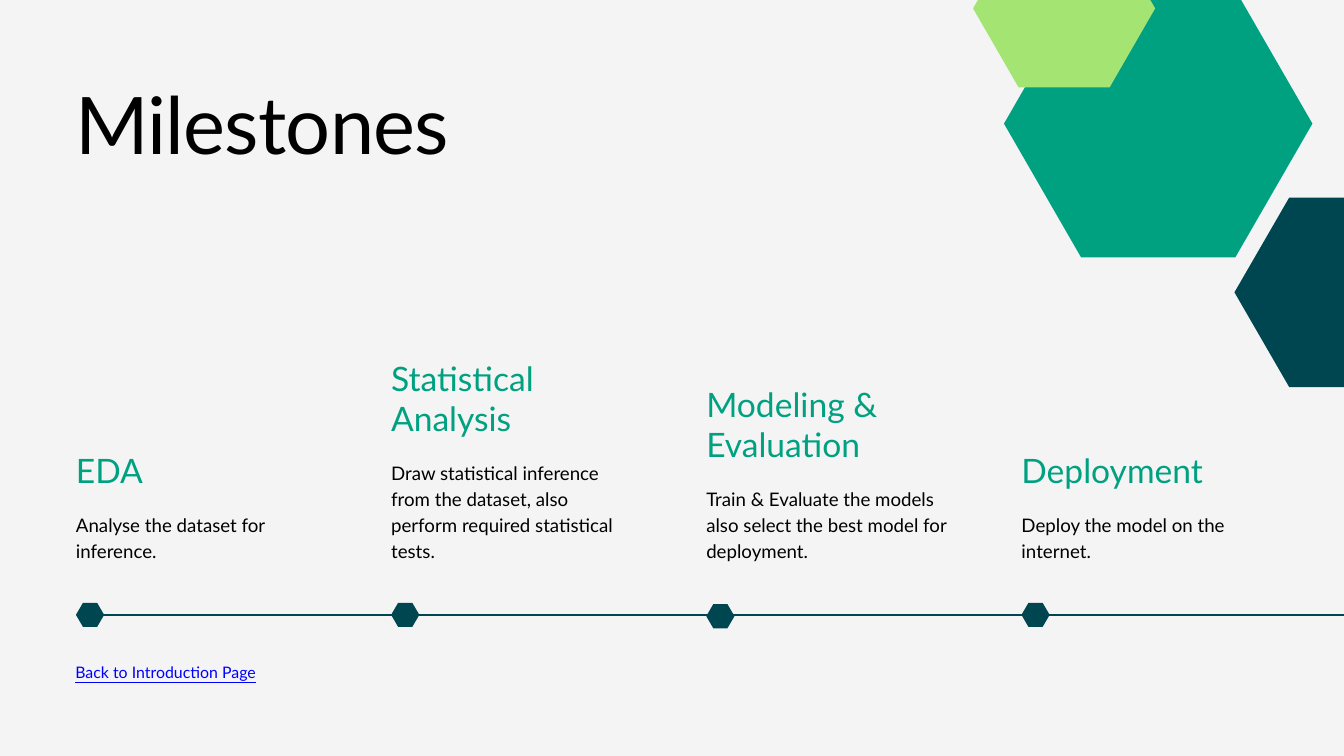
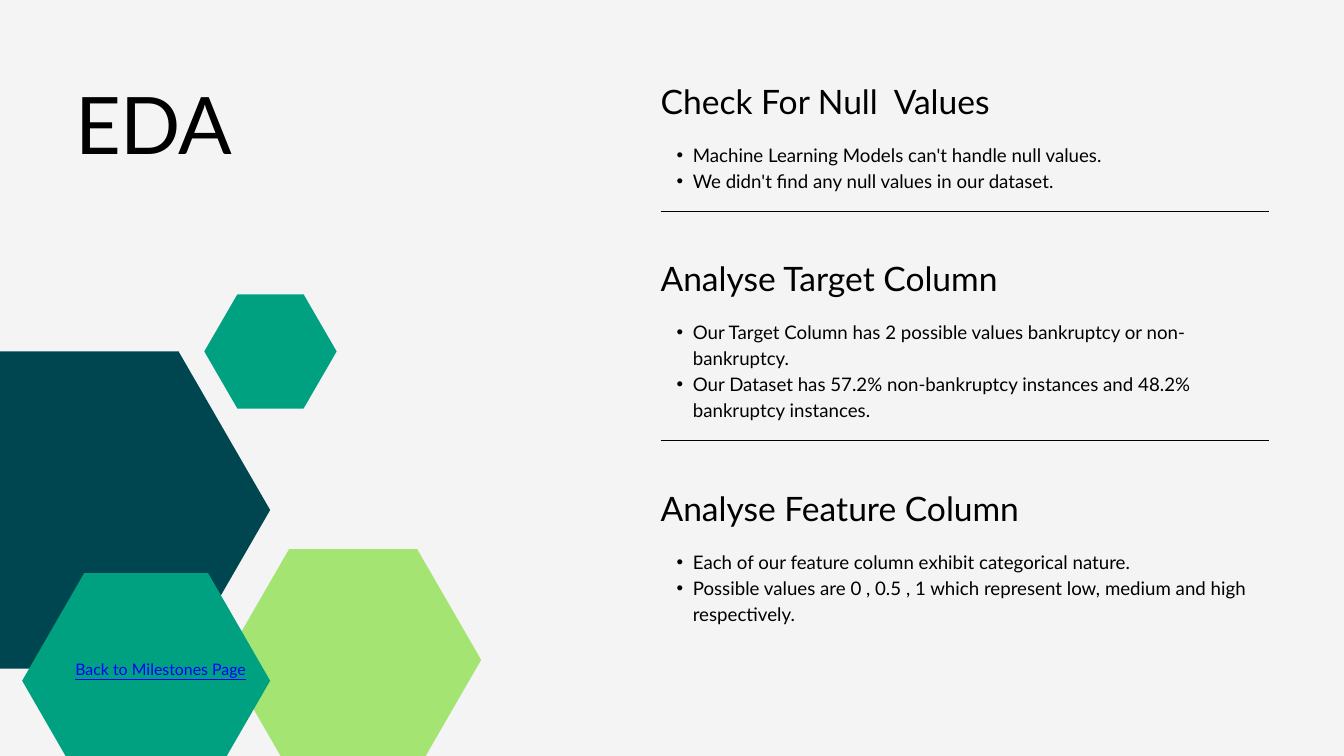
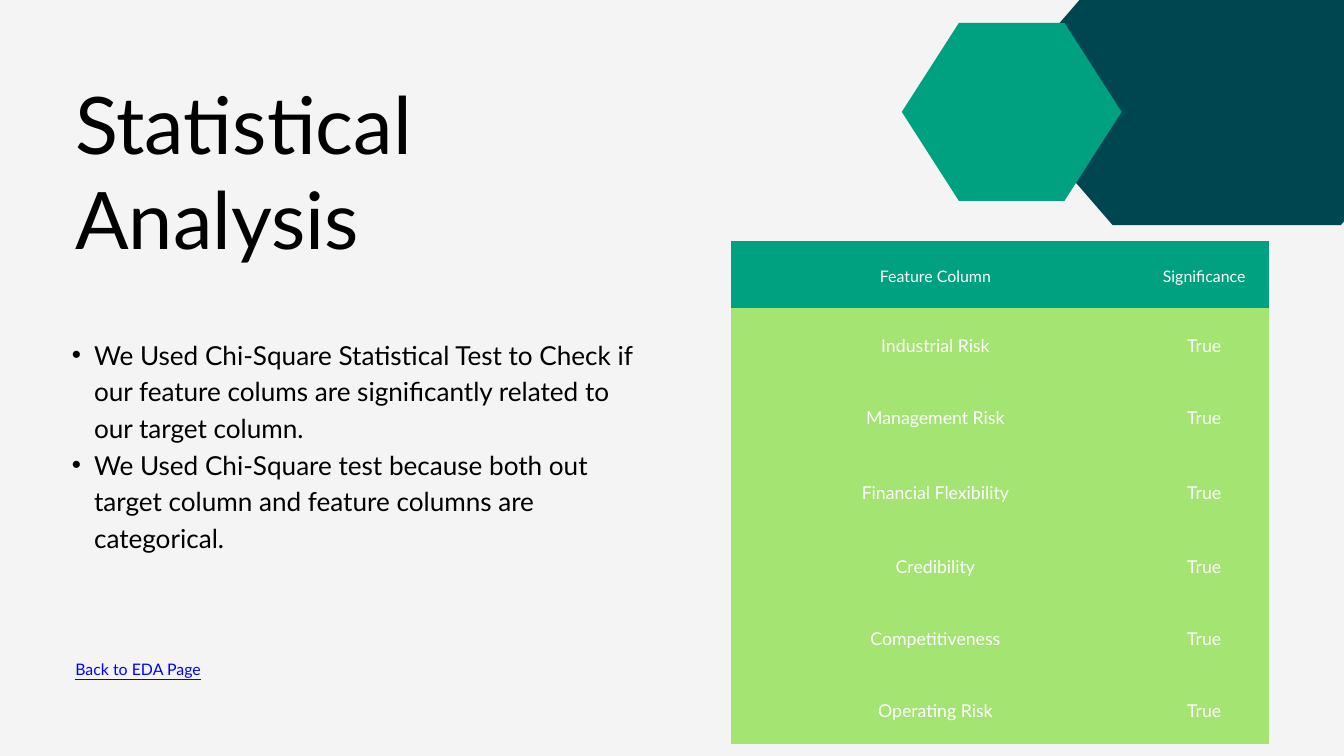
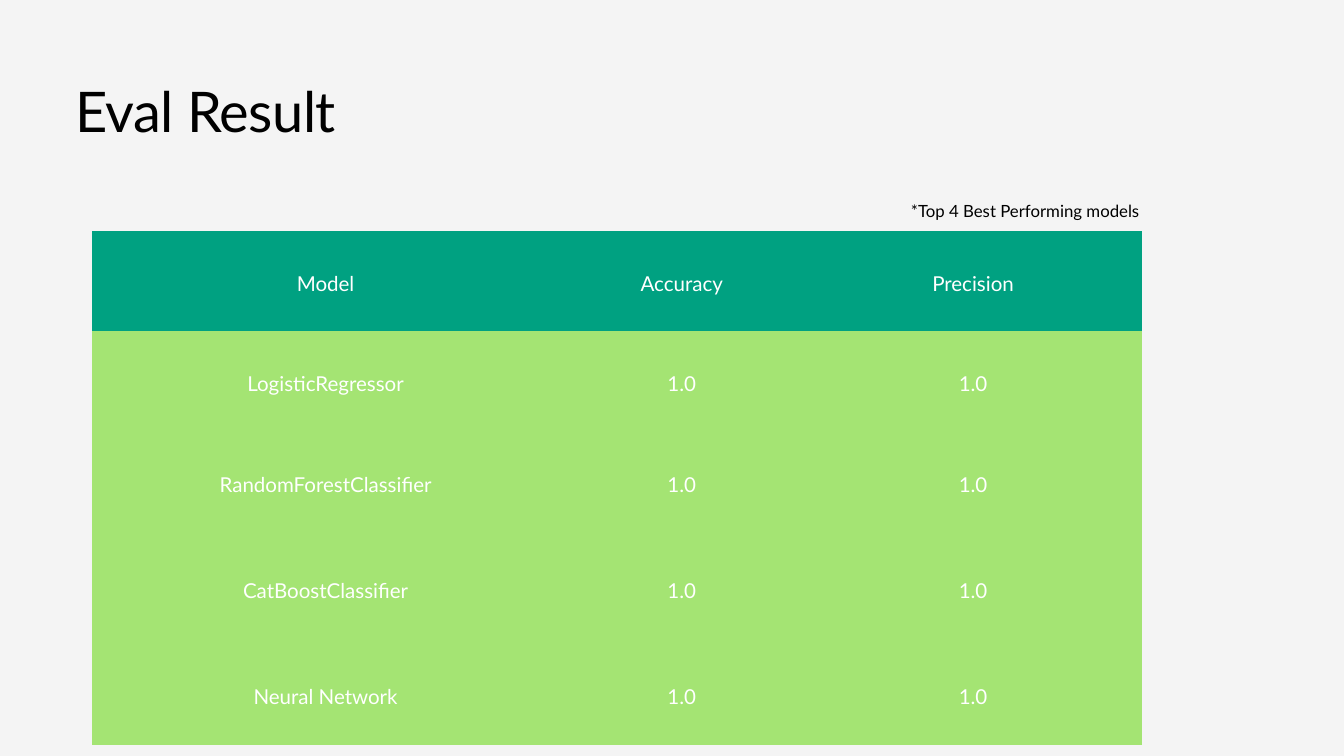
from itertools import accumulate

from lxml import etree
from pptx import Presentation
from pptx import util as u
from pptx.dml.color import RGBColor
from pptx.enum import shapes, text
from pptx.oxml import ns

COLORS = {
    "paper": "F4F4F4",
    "ink": "000000",
    "white": "FFFFFF",
    "link": "0000FF",
    "navy": "004651",
    "teal": "00A181",
    "lime": "A4E473",
}
FONT = "Lato"
MARGIN = 1.12
HEAD_LINE = 0.6
BODY_LINE = 0.39


def color(name):
    return RGBColor.from_string(COLORS[name])


def add_xml(parent, tag, index=None, **attributes):
    child = etree.Element(ns.qn(tag), attributes)
    parent.insert(len(parent) if index is None else index, child)
    return child


def write_text(frame, content, size=20, ink="ink", leading=1.4, align=None,
               spacing=0, underline=False, bullet=None):
    """Fill a text frame; content is a string or a list of paragraphs.

    bullet is the hanging width in inches; the text starts at twice that.
    """
    lines = [content] if isinstance(content, str) else content
    for number, line in enumerate(lines):
        para = frame.add_paragraph() if number else frame.paragraphs[0]
        para.line_spacing = u.Pt(round(size * leading, 1))
        para.alignment = align
        if bullet:
            props = para._p.get_or_add_pPr()
            props.set("marL", str(u.Inches(2 * bullet)))
            props.set("indent", str(-u.Inches(bullet)))
            add_xml(props, "a:buFont", typeface="Arial")
            add_xml(props, "a:buChar", char="•")
        span = para.add_run()
        span.text = line
        span.font.name = FONT
        span.font.size = u.Pt(size)
        span.font.color.rgb = color(ink)
        if underline:
            span.font.underline = True
        if spacing:
            span._r.get_or_add_rPr().set("spc", str(round(spacing * 100)))


def add_text(page, box, content, **style):
    frame = page.shapes.add_textbox(*map(u.Inches, box)).text_frame
    frame.margin_left = frame.margin_right = 0
    frame.margin_top = frame.margin_bottom = 0
    frame.word_wrap = True
    frame.auto_size = text.MSO_AUTO_SIZE.SHAPE_TO_FIT_TEXT
    write_text(frame, content, **style)


def add_title(page, content, width, spacing=-0.8, lines=1):
    add_text(page, (MARGIN, 1.12, width, 1.41 * lines), content,
             size=85, leading=1.2, spacing=spacing)


def add_heading(page, box, content, ink="ink"):
    add_text(page, box, content, size=36, leading=1.2, ink=ink)


def add_back_label(page, content, top=9.77):
    add_text(page, (MARGIN, top, 5.72, 0.32), content,
             size=17, ink="link", underline=True)


def add_hexagon(page, box, fill, corner=0.25):
    """Flat-topped hexagon; corner is the slanted share of its width."""
    left, top, width, height = box
    near, far = left + width * corner, left + width * (1 - corner)
    middle, bottom = top + height / 2, top + height
    points = [(far, bottom), (near, bottom), (left, middle), (near, top), (far, top)]
    builder = page.shapes.build_freeform(
        u.Inches(left + width), u.Inches(middle), scale=1.0)
    builder.add_line_segments([(u.Inches(x), u.Inches(y)) for x, y in points])
    shape = builder.convert_to_shape()
    shape.shadow.inherit = False
    shape.fill.solid()
    shape.fill.fore_color.rgb = color(fill)
    shape.line.fill.background()


def add_rule(page, left, right, top, ink, weight):
    rule = page.shapes.add_connector(
        shapes.MSO_CONNECTOR.STRAIGHT, *map(u.Inches, (left, top, right, top)))
    rule.line.color.rgb = color(ink)
    rule.line.width = u.Pt(weight)
    add_xml(rule._element.spPr, "a:effectLst")


def add_result_table(page, origin, widths, heights, rows, head_size, body_size):
    box = (*origin, sum(widths), sum(heights))
    table = page.shapes.add_table(len(rows), len(widths), *map(u.Inches, box)).table
    for column, width in zip(table.columns, widths):
        column.width = u.Inches(width)
    for number, (row, height, values) in enumerate(zip(table.rows, heights, rows)):
        row.height = u.Inches(height)
        for cell, value in zip(row.cells, values):
            cell.margin_left = cell.margin_right = u.Inches(0.21)
            cell.margin_top = cell.margin_bottom = u.Inches(0.21)
            cell.vertical_anchor = text.MSO_ANCHOR.MIDDLE
            cell.fill.solid()
            cell.fill.fore_color.rgb = color("lime" if number else "teal")
            props = cell._tc.get_or_add_tcPr()
            for index, side in enumerate("LRTB"):
                border = add_xml(props, f"a:ln{side}", index, w="0")
                add_xml(border, "a:noFill")
            write_text(cell.text_frame, value, ink="white",
                       size=body_size if number else head_size,
                       align=text.PP_ALIGN.CENTER)


def add_milestone(page, left, bottom, heading, heading_lines, body, body_lines):
    """Stack a heading on its description so that both end at bottom."""
    body_height = BODY_LINE * body_lines - 0.03
    body_top = bottom - body_height
    heading_height = HEAD_LINE * heading_lines
    add_heading(page, (left, body_top - 0.29 - heading_height, 3.68, heading_height),
                heading, ink="teal")
    add_text(page, (left, body_top, 3.68, body_height), body)


def add_finding(page, left, top, width, heading, points, lines):
    """Place a heading with bulleted points and return where they end."""
    height = BODY_LINE * lines - 0.03
    add_heading(page, (left, top, width, HEAD_LINE), heading)
    add_text(page, (left, top + 0.88, width, height), points, bullet=0.24)
    return top + 0.88 + height


def build_milestones(page):
    milestones = [
        ("EDA", 1, "Analyse the dataset for inference.", 2),
        ("Statistical Analysis", 2,
         "Draw statistical inference from the dataset, also perform required "
         "statistical tests.", 4),
        ("Modeling & Evaluation", 2,
         "Train & Evaluate the models also select the best model for deployment.", 3),
        ("Deployment", 1, "Deploy the model on the internet.", 2),
    ]
    axis = 9.15
    add_rule(page, 1.39, 20, axis, "navy", 1.5)
    for number, milestone in enumerate(milestones):
        left = 1.13 + 4.69 * number
        add_milestone(page, left, 8.34, *milestone)
        drop = 0.02 if number == 2 else 0
        add_hexagon(page, (left, axis - 0.18 + drop, 0.42, 0.36), "navy")
    add_title(page, "Milestones", 6.23)
    add_back_label(page, "Back to Introduction Page", top=9.81)
    add_hexagon(page, (18.37, 2.94, 3.26, 2.82), "navy")
    add_hexagon(page, (14.94, -0.15, 4.59, 3.98), "teal")
    add_hexagon(page, (14.48, -1.05, 2.71, 2.35), "lime")


def build_eda(page):
    findings = [
        ("Check For Null  Values",
         ["Machine Learning Models can't handle null values.",
          "We didn't find any null values in our dataset."], 2),
        ("Analyse Target Column",
         ["Our Target Column has 2 possible values bankruptcy or non-bankruptcy.",
          "Our Dataset has 57.2% non-bankruptcy instances and 48.2% bankruptcy "
          "instances."], 4),
        ("Analyse Feature Column",
         ["Each of our feature column exhibit categorical nature.",
          "Possible values are 0 , 0.5 , 1 which represent low, medium and high "
          "respectively."], 3),
    ]
    add_title(page, "EDA", 6.03)
    add_hexagon(page, (-1.43, 5.23, 5.45, 4.72), "navy")
    add_hexagon(page, (3.35, 8.17, 3.81, 3.3), "lime")
    add_hexagon(page, (3.04, 4.38, 1.97, 1.7), "teal")
    add_hexagon(page, (0.33, 8.53, 3.69, 3.2), "teal")
    left, top, width = 9.83, 1.2, 9.05
    for number, finding in enumerate(findings):
        if number:
            add_rule(page, left, left + width, top - 0.7, "ink", 0.75)
        top = add_finding(page, left, top, width, *finding) + 1.01
    add_back_label(page, "Back to Milestones Page")


def build_statistics(page):
    risks = ["Industrial Risk", "Management Risk", "Financial Flexibility",
             "Credibility", "Competitiveness", "Operating Risk"]
    add_hexagon(page, (14.86, -0.57, 6.79, 3.92), "navy")
    add_hexagon(page, (13.42, 0.34, 3.27, 2.65), "teal", corner=0.26)
    add_result_table(
        page, (10.88, 3.58), [6.08, 1.92],
        [1.01, 1.07, 1.07, 1.14, 1.07, 1.07, 1.07],
        [("Feature Column", "Significance")] + [(risk, "True") for risk in risks],
        head_size=17, body_size=19)
    add_title(page, "Statistical Analysis", 7.56, spacing=0, lines=2)
    add_back_label(page, "Back to EDA Page")
    add_text(page, (0.74, 4.97, 8.88, 3.23), [
        "We Used Chi-Square Statistical Test to Check if our feature colums are "
        "significantly related to our target column.",
        "We Used Chi-Square test because both out target column and feature "
        "columns are categorical.",
    ], size=28, bullet=0.33)


def build_evaluation(page):
    models = ["LogisticRegressor", "RandomForestClassifier", "CatBoostClassifier",
              "Neural Network"]
    add_text(page, (MARGIN, 1.05, 5.53, 1.07), "Eval Result",
             size=60, leading=1.3, spacing=-0.6)
    add_result_table(
        page, (1.37, 3.44), [6.95, 3.65, 5.02], [1.49, 1.5, 1.49, 1.67, 1.49],
        [("Model", "Accuracy", "Precision")] + [(model, "1.0", "1.0") for model in models],
        head_size=22, body_size=22)
    add_text(page, (13.52, 2.93, 3.47, 0.35), "*Top 4 Best Performing models",
             size=18, align=text.PP_ALIGN.CENTER)


def main():
    deck = Presentation()
    deck.slide_width, deck.slide_height = u.Inches(20), u.Inches(11.25)
    for build in (build_milestones, build_eda, build_statistics, build_evaluation):
        page = deck.slides.add_slide(deck.slide_layouts[6])
        page.background.fill.solid()
        page.background.fill.fore_color.rgb = color("paper")
        build(page)
    deck.save("out.pptx")


if __name__ == "__main__":
    main()
